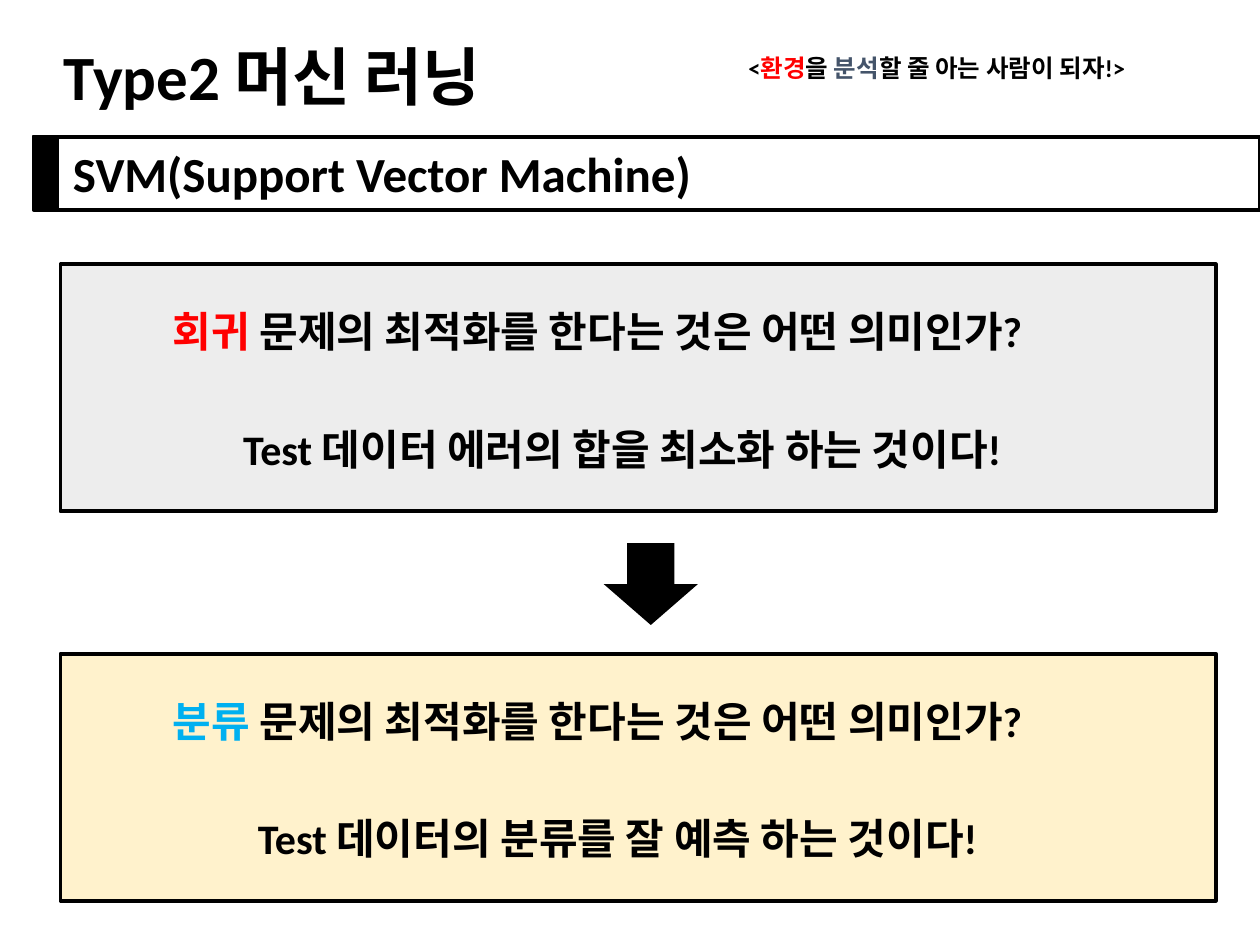
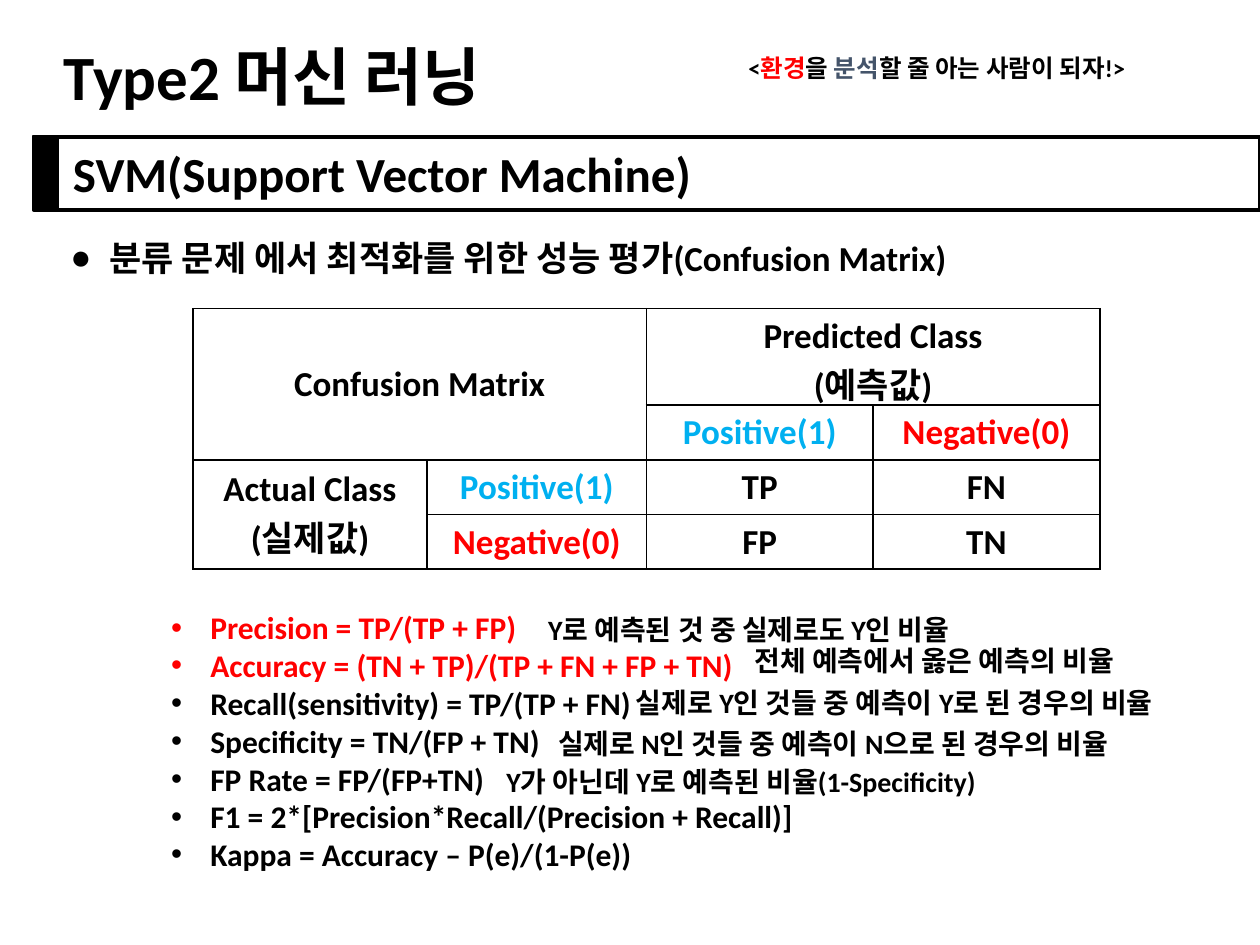
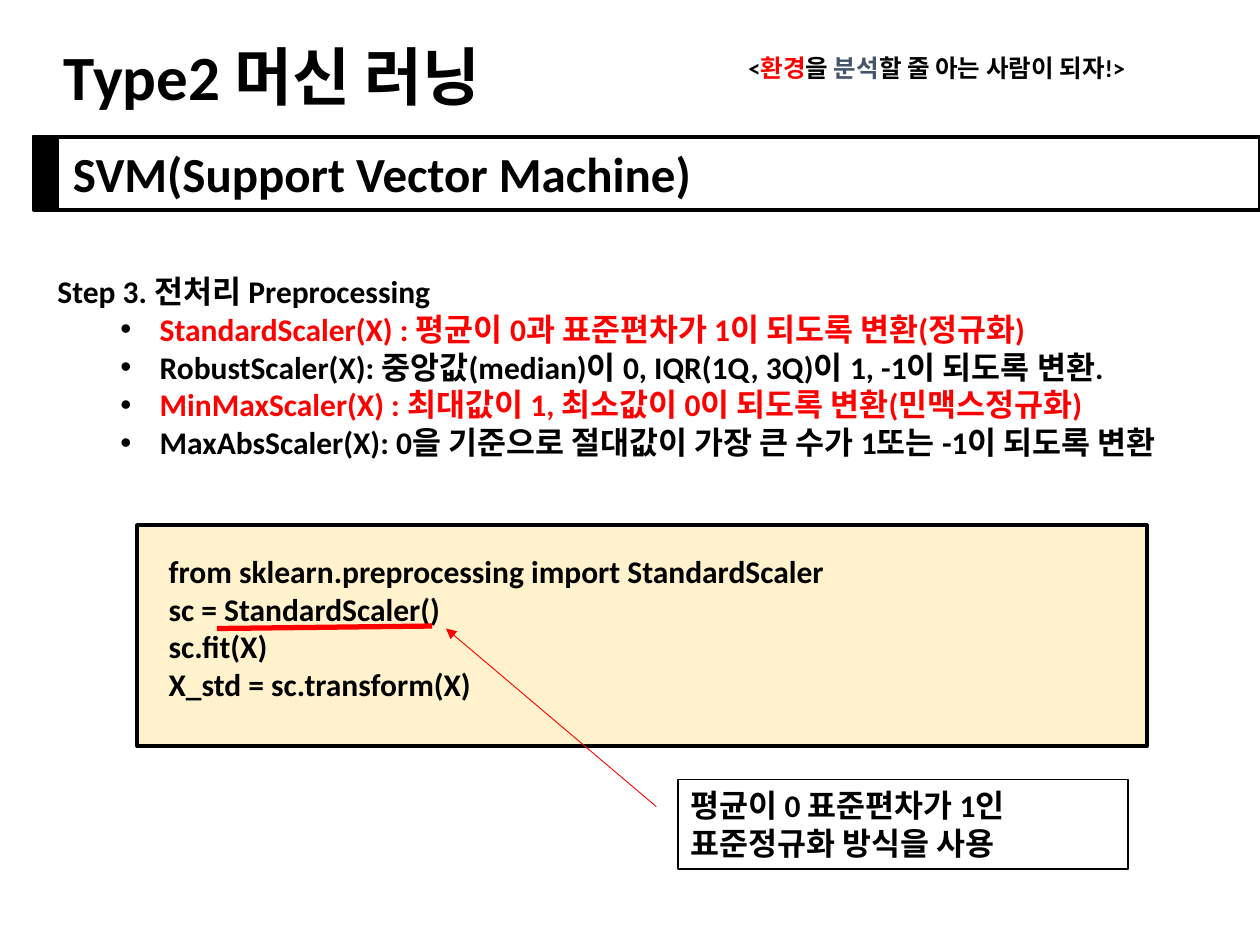
from lxml.etree import SubElement
from pptx import Presentation
from pptx.dml.color import RGBColor
from pptx.enum.shapes import MSO_CONNECTOR, MSO_SHAPE
from pptx.enum.text import MSO_ANCHOR, MSO_AUTO_SIZE, PP_ALIGN
from pptx.oxml.ns import qn
from pptx.util import Cm, Pt

BLACK = RGBColor(0x00, 0x00, 0x00)
WHITE = RGBColor(0xFF, 0xFF, 0xFF)
RED = RGBColor(0xFF, 0x00, 0x00)
BLUE = RGBColor(0x00, 0xB0, 0xF0)
SLATE = RGBColor(0x44, 0x54, 0x6A)
GRAY = RGBColor(0xED, 0xED, 0xED)
CREAM = RGBColor(0xFF, 0xF2, 0xCC)
FONT = "Calibri"


def place(s, x, y, w, h, shape=None, fill=None, line=None, width=2.25):
    """Add a shape, or a text box when no shape is given."""
    at = Cm(x), Cm(y), Cm(w), Cm(h)
    if shape is None:
        sp = s.shapes.add_textbox(*at)
        sp.text_frame.word_wrap = True
        sp.text_frame.auto_size = MSO_AUTO_SIZE.SHAPE_TO_FIT_TEXT
    else:
        sp = s.shapes.add_shape(shape, *at)
        sp.shadow.inherit = False
    if fill is None:
        sp.fill.background()
    else:
        sp.fill.solid()
        sp.fill.fore_color.rgb = fill
    if line is None:
        sp.line.fill.background()
    else:
        sp.line.color.rgb = line
        sp.line.width = Pt(width)
    return sp.text_frame


def write(tf, *paragraphs, size=18, center=False, bullet=None, margin=0.79, bullet_color=None):
    """Fill a text frame; a paragraph is a string or a list of (text, colour) runs."""
    for i, runs in enumerate(paragraphs):
        p = tf.paragraphs[0] if i == 0 else tf.add_paragraph()
        p.alignment = PP_ALIGN.CENTER if center else PP_ALIGN.LEFT
        for text, color in [(runs, BLACK)] if isinstance(runs, str) else runs:
            r = p.add_run()
            r.text = text
            r.font.name, r.font.size, r.font.bold = FONT, Pt(size), True
            r.font.color.rgb = color
        # A plain heading may come before a list that is set one level in
        if bullet and not (bullet_color and i == 0):
            pPr = p._p.get_or_add_pPr()
            pPr.set("marL", str(Cm(margin)))
            pPr.set("indent", str(-Cm(0.79)))
            if bullet_color:
                SubElement(SubElement(pPr, qn("a:buClr")), qn("a:srgbClr"), val=str(bullet_color))
            SubElement(pPr, qn("a:buFont"), typeface="Arial")
            SubElement(pPr, qn("a:buChar"), char=bullet)


prs = Presentation()
prs.slide_width, prs.slide_height = Cm(25.4), Cm(19.05)

# Shared header
for _ in range(3):
    s = prs.slides.add_slide(prs.slide_layouts[6])
    motto = [("<", BLACK), ("환경", RED), ("을 ", BLACK), ("분석", SLATE),
             ("할 줄 아는 사람이 되자!>", BLACK)]
    write(place(s, 11.38, 0.94, 15.01, 0.86), motto, size=14, center=True)
    write(place(s, -1.19, 0.64, 13.36, 1.8), "Type2 머신 러닝", size=36, center=True)
    write(place(s, 1.22, 2.77, 15.72, 1.45), "SVM(Support Vector Machine)", size=28)
    place(s, 0.66, 2.74, 0.51, 1.5, MSO_SHAPE.RECTANGLE, BLACK, BLACK, 1)
    place(s, 0.69, 2.77, 24.71, 1.47, MSO_SHAPE.RECTANGLE, line=BLACK)
goal_slide, matrix_slide, scaling_slide = prs.slides

# Slide 1: what optimising means
s = goal_slide
goals = [
    (5.33, GRAY, "회귀", RED, "Test 데이터 에러의 합을 최소화 하는 것이다!"),
    (13.18, CREAM, "분류", BLUE, "Test 데이터의 분류를 잘 예측 하는 것이다! "),
]
for y, fill, task, color, answer in goals:
    place(s, 1.22, y, 23.29, 4.98, MSO_SHAPE.RECTANGLE, fill, BLACK)
    question = [(task, color), (" 문제의 최적화를 한다는 것은 어떤 의미인가?", BLACK)]
    write(place(s, 3.23, y + 0.71, 18.62, 1.27), question, size=24)
    write(place(s, 3.78, y + 3.08, 17.53, 1.27), answer, size=24, center=True)
place(s, 12.17, 10.95, 1.9, 1.65, MSO_SHAPE.DOWN_ARROW, BLACK)

# Slide 2: confusion matrix
s = matrix_slide
write(place(s, 1.17, 4.65, 19.38, 1.12),
      "분류 문제 에서 최적화를 위한 성능 평가(Confusion Matrix)", size=20, bullet="●")
write(place(s, 3.2, 12.14, 16.31, 5.64),
      [("Precision = TP/(TP + FP)", RED)],
      [("Accuracy = (TN + TP)/(TP + FN + FP + TN)", RED)],
      "Recall(sensitivity) = TP/(TP + FN)",
      "Specificity = TN/(FP + TN)",
      "FP Rate = FP/(FP+TN)",
      "F1 = 2*[Precision*Recall/(Precision + Recall)]",
      "Kappa = Accuracy – P(e)/(1-P(e))", bullet="•")

positive, negative = [("Positive(1)", BLUE)], [("Negative(0)", RED)]
matrix = [
    [["Confusion Matrix"], [], ["Predicted Class", "(예측값)"], []],
    [[], [], [positive], [negative]],
    [["Actual Class", "(실제값)"], [positive], ["TP"], ["FN"]],
    [[], [negative], ["FP"], ["TN"]],
]
table = s.shapes.add_table(4, 4, Cm(3.89), Cm(6.22), Cm(18.28), Cm(5.24)).table
for column, width in zip(table.columns, (4.72, 4.42, 4.57, 4.57)):
    column.width = Cm(width)
for row, height in zip(table.rows, (1.94, 1.1, 1.1, 1.1)):
    row.height = Cm(height)
for (r1, c1), (r2, c2) in [((0, 0), (1, 1)), ((0, 2), (0, 3)), ((2, 0), (3, 0))]:
    table.cell(r1, c1).merge(table.cell(r2, c2))
for i, row in enumerate(matrix):
    for j, paragraphs in enumerate(row):
        cell = table.cell(i, j)
        cell.vertical_anchor = MSO_ANCHOR.MIDDLE
        for side in ("a:lnL", "a:lnR", "a:lnT", "a:lnB"):
            ln = SubElement(cell._tc.get_or_add_tcPr(), qn(side), w=str(Pt(1)))
            SubElement(SubElement(ln, qn("a:solidFill")), qn("a:srgbClr"), val=str(BLACK))
        cell.fill.solid()
        cell.fill.fore_color.rgb = WHITE
        write(cell.text_frame, *paragraphs, size=20, center=True)

notes = [
    (10.8, 12.22, 11.56, "Y로 예측된 것 중 실제로도 Y인 비율"),
    (14.96, 12.85, 11.56, "전체 예측에서 옳은 예측의 비율"),
    (12.57, 13.69, 12.73, "실제로 Y인 것들 중 예측이 Y로 된 경우의 비율"),
    (11, 14.53, 12.73, "실제로 N인 것들 중 예측이 N으로 된 경우의 비율"),
    (9.96, 15.29, 12.73, "Y가 아닌데 Y로 예측된 비율(1-Specificity)"),
]
for x, y, w, note in notes:
    write(place(s, x, y, w, 0.94), note, size=16)

# Slide 3: preprocessing
s = scaling_slide
write(place(s, 0.91, 5.36, 24.16, 4.11),
      "Step 3. 전처리 Preprocessing",
      [("StandardScaler(X) : 평균이 0과 표준편차가 1이 되도록 변환(정규화)", RED)],
      "RobustScaler(X): 중앙값(median)이 0, IQR(1Q, 3Q)이 1, -1이 되도록 변환.",
      [("MinMaxScaler(X) : 최대값이 1, 최소값이 0이 되도록 변환(민맥스정규화)", RED)],
      "MaxAbsScaler(X): 0을 기준으로 절대값이 가장 큰 수가 1또는 -1이 되도록 변환",
      bullet="•", margin=2.06, bullet_color=BLACK)
place(s, 2.77, 10.59, 20.35, 4.45, MSO_SHAPE.RECTANGLE, CREAM, BLACK)
write(place(s, 3.15, 11, 19.96, 3.33),
      "from sklearn.preprocessing import StandardScaler",
      "sc = StandardScaler()",
      "sc.fit(X)",
      "X_std = sc.transform(X)")

underline = (4.37, 12.67, 8.71, 12.62), 3, False
pointer = (13.23, 16.26, 8.99, 12.67), 0.5, True
for ends, width, arrow in (underline, pointer):
    line = s.shapes.add_connector(MSO_CONNECTOR.STRAIGHT, *[Cm(v) for v in ends])
    line.line.color.rgb = RED
    line.line.width = Pt(width)
    if arrow:
        SubElement(line.line._get_or_add_ln(), qn("a:tailEnd"), type="triangle")
    SubElement(line._element.spPr, qn("a:effectLst"))
write(place(s, 13.67, 15.72, 9.07, 1.8, line=BLACK, width=0.75),
      "평균이 0 표준편차가 1인 표준정규화 방식을 사용")

prs.save("out.pptx")
